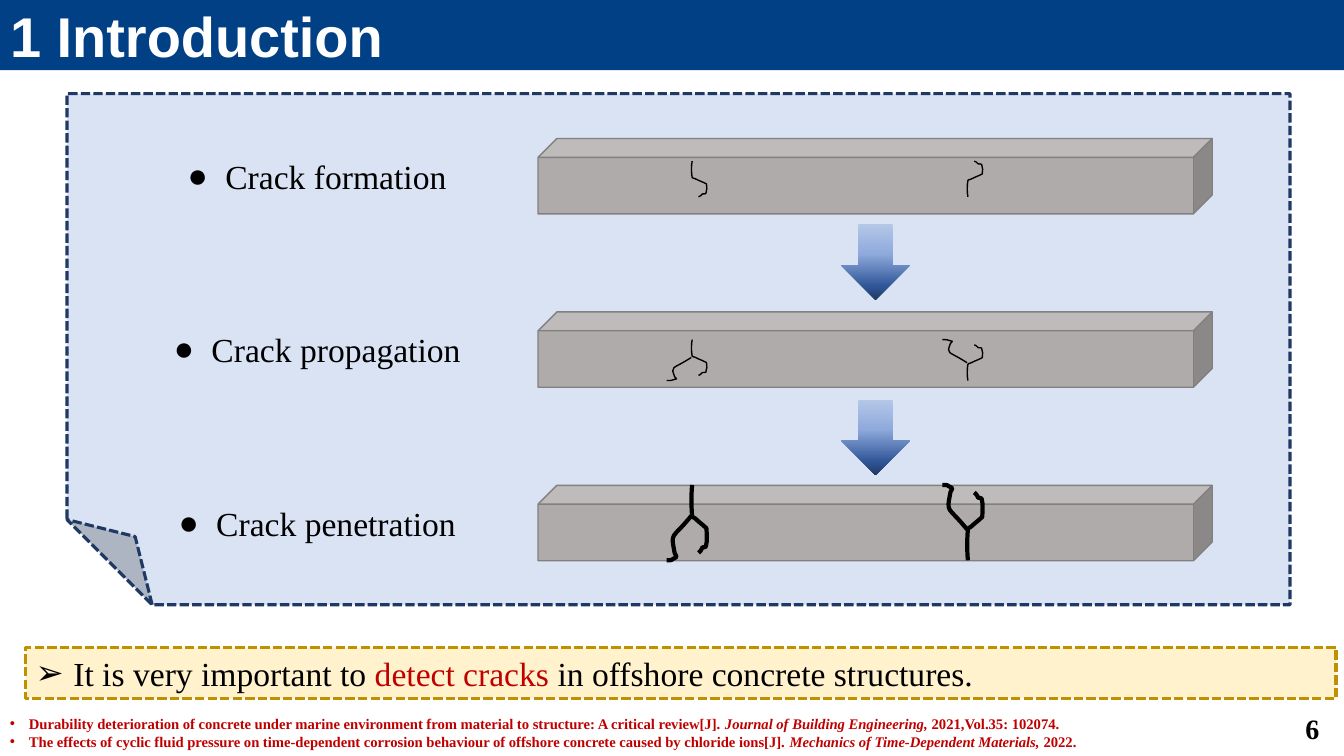
"""Build the introduction slide showing three stages of concrete cracking."""
from lxml.etree import SubElement
from pptx import Presentation
from pptx.dml.color import RGBColor
from pptx.enum.dml import MSO_LINE
from pptx.enum.shapes import MSO_SHAPE
from pptx.enum.text import MSO_ANCHOR, MSO_AUTO_SIZE, PP_ALIGN
from pptx.oxml.ns import qn
from pptx.util import Cm, Pt

WHITE = RGBColor(0xFF, 0xFF, 0xFF)
BLACK = RGBColor(0, 0, 0)
RED = RGBColor(0xC0, 0, 0)
TITLE_BLUE = RGBColor(0x01, 0x40, 0x85)
PANEL_BLUE = RGBColor(0xDA, 0xE3, 0xF3)
NAVY = RGBColor(0x20, 0x38, 0x64)
CREAM = RGBColor(0xFF, 0xF2, 0xCC)
GOLD = RGBColor(0xBF, 0x90, 0)
CONCRETE = RGBColor(0xAF, 0xAB, 0xAB)
GREY = RGBColor(0x80, 0x80, 0x80)
ARROW_STOPS = [(0, RGBColor(0xB4, 0xC7, 0xE7)), (39, RGBColor(0x8F, 0xAA, 0xDC)),
               (83, RGBColor(0x2F, 0x55, 0x97)), (100, NAVY)]
SERIF = "Times New Roman"

TITLE = "1 Introduction"
PAGE_NUMBER = "6"
MESSAGE = [("It is very important to ", BLACK), ("detect cracks ", RED),
           ("in offshore concrete structures.", BLACK)]
REFERENCES = [
    ("Durability deterioration of concrete under marine environment from material "
     "to structure: A critical review[J]. ",
     "Journal of Building Engineering, ", "2021,Vol.35: 102074."),
    ("The effects of cyclic fluid pressure on time-dependent corrosion behaviour of "
     "offshore concrete caused by chloride ions[J]. ",
     "Mechanics of Time-Dependent Materials, ", "2022."),
]

# label, label left, label width, crack top, crack height, hook height, branch height, weight
STAGES = [
    ("Crack formation", 4.48, 7.09, 4.06, 0.9, 0.9, 0, 1),
    ("Crack propagation", 4.13, 7.8, 8.56, 1.03, 0.9, 0.58, 1),
    ("Crack penetration", 4.25, 7.57, 12.22, 1.9, 1.71, 1.12, 3),
]
HOOK = [(0.06, 0), (0, 0.12), (0, 0.33), (0.06, 0.46),
        (0.06, 0.48), (0.18, 0.48), (0.22, 0.49),
        (0.8, 0.61), (0, 0.45), (0.76, 0.6),
        (0.76, 0.6), (0.94, 0.64), (0.94, 0.64),
        (0.95, 0.73), (1, 0.82), (0.9, 0.91),
        (0.87, 0.93), (0.75, 0.91), (0.69, 0.92),
        (0.64, 0.94), (0.63, 0.96), (0.58, 0.97),
        (0.55, 0.98), (0.45, 1), (0.45, 1)]
BRANCH = [(1, 0), (0.2, 0.55), (0.16, 0.34), (0.33, 0.84),
          (0.36, 0.87), (0.4, 0.91), (0.4, 0.93),
          (0.12, 1), (0.28, 1), (0, 1)]
HOOK_LEFT, HOOK_WIDTH = 17.42, 0.41
BRANCH_LEFT, BRANCH_WIDTH = 16.8, 0.62
RIGHT_CRACK_SHIFT = 6.95
BEAM_TOP, STAGE_STEP = 3.49, 4.37
ARROW_TOP, ARROW_STEP = 5.65, 4.42


def add_box(slide, kind, box, fill, line, weight, dashed=False):
    """Add a filled and outlined preset shape."""
    shape = slide.shapes.add_shape(kind, *map(Cm, box))
    shape.shadow.inherit = False
    shape.fill.solid()
    shape.fill.fore_color.rgb = fill
    shape.line.color.rgb = line
    shape.line.width = Pt(weight)
    if dashed:
        shape.line.dash_style = MSO_LINE.SQUARE_DOT
    return shape


def add_text(slide, box, wrap=True):
    """Add a text box and return its text frame."""
    frame = slide.shapes.add_textbox(*map(Cm, box)).text_frame
    frame.word_wrap = wrap
    return frame


def add_bullet(paragraph, symbol, indent):
    """Give a paragraph a bullet with a hanging indent."""
    properties = paragraph._p.get_or_add_pPr()
    properties.set("marL", str(Cm(indent)))
    properties.set("indent", str(-Cm(indent)))
    SubElement(properties, qn("a:buFont"), typeface="Arial")
    SubElement(properties, qn("a:buChar"), char=symbol)


def format_run(run, size, color=BLACK, bold=False, italic=False, font=SERIF):
    """Set the character format of a run."""
    run.font.name, run.font.size = font, Pt(size)
    run.font.bold, run.font.italic = bold, italic
    run.font.color.rgb = color


def add_run(paragraph, text, *style):
    """Append a formatted run to a paragraph."""
    run = paragraph.add_run()
    run.text = text
    format_run(run, *style)


def add_crack_line(slide, controls, weight):
    """Draw one open chain of cubic curves through control points in centimetres."""
    controls = [(Cm(x), Cm(y)) for x, y in controls]
    builder = slide.shapes.build_freeform(*controls[0])
    builder.add_line_segments(controls[1:], close=False)
    shape = builder.convert_to_shape()
    segments = list(shape._element.spPr.iter(qn("a:lnTo")))
    outline = segments[0].getparent()
    for start in range(0, len(segments), 3):
        curve = SubElement(outline, qn("a:cubicBezTo"))
        for segment in segments[start:start + 3]:
            curve.append(segment[0])
            outline.remove(segment)
    shape.shadow.inherit = False
    shape.fill.background()
    shape.line.color.rgb = BLACK
    shape.line.width = Pt(weight)


def add_cracks(slide, top, height, hook_height, branch_height, weight):
    """Draw the left crack and its upside-down twin on the right."""
    parts = [(HOOK, HOOK_LEFT, HOOK_WIDTH, top, hook_height)]
    if branch_height:
        parts.append((BRANCH, BRANCH_LEFT, BRANCH_WIDTH,
                      top + height - branch_height, branch_height))
    for outline, left, width, part_top, part_height in parts:
        controls = [(left + x * width, part_top + y * part_height) for x, y in outline]
        add_crack_line(slide, controls, weight)
        add_crack_line(slide, [(x + RIGHT_CRACK_SHIFT, 2 * top + height - y)
                               for x, y in controls], weight)


def add_arrow(slide, top):
    """Add a downward arrow with a vertical gradient."""
    arrow = slide.shapes.add_shape(MSO_SHAPE.DOWN_ARROW, *map(Cm, (21.2, top, 1.73, 1.9)))
    arrow.shadow.inherit = False
    arrow.line.fill.background()
    arrow.fill.gradient()
    gradient = arrow._element.spPr.find(qn("a:gradFill"))
    stops = gradient.find(qn("a:gsLst"))
    stops.clear()
    for position, color in ARROW_STOPS:
        stop = SubElement(stops, qn("a:gs"), pos=str(position * 1000))
        SubElement(stop, qn("a:srgbClr"), val=str(color))
    gradient.find(qn("a:lin")).set("ang", "5400000")


def main():
    """Compose and save the slide."""
    presentation = Presentation()
    presentation.slide_width, presentation.slide_height = Cm(33.87), Cm(19.05)
    slide = presentation.slides.add_slide(presentation.slide_layouts[5])

    title = slide.shapes.title
    title.left, title.top, title.width, title.height = map(Cm, (0, 0, 33.87, 1.77))
    title.fill.solid()
    title.fill.fore_color.rgb = TITLE_BLUE
    frame = title.text_frame
    frame.text = TITLE
    frame.auto_size = MSO_AUTO_SIZE.NONE
    frame.vertical_anchor = MSO_ANCHOR.MIDDLE
    frame.paragraphs[0].alignment = PP_ALIGN.LEFT
    format_run(frame.paragraphs[0].runs[0], 40, WHITE, True, font="Arial")

    panel = add_box(slide, MSO_SHAPE.FOLDED_CORNER, (1.69, 2.36, 30.82, 12.88),
                    PANEL_BLUE, NAVY, 2.25, dashed=True)
    panel._element.spPr.find(qn("a:xfrm")).set("flipH", "1")

    for index, (label, left, width, *crack) in enumerate(STAGES):
        top = BEAM_TOP + index * STAGE_STEP
        add_box(slide, MSO_SHAPE.CUBE, (13.56, top, 16.99, 1.9), CONCRETE, GREY, 1)
        add_cracks(slide, *crack)
        paragraph = add_text(slide, (left, top + 0.31, width, 1.27), wrap=False).paragraphs[0]
        add_bullet(paragraph, "●", 0.95)
        add_run(paragraph, label, 24)
    for index in range(len(STAGES) - 1):
        add_arrow(slide, ARROW_TOP + index * ARROW_STEP)

    banner = add_box(slide, MSO_SHAPE.RECTANGLE, (0.65, 16.32, 33.02, 1.28),
                     CREAM, GOLD, 2.25, dashed=True)
    banner.text_frame.vertical_anchor = MSO_ANCHOR.TOP
    paragraph = banner.text_frame.paragraphs[0]
    paragraph.alignment = PP_ALIGN.LEFT
    add_bullet(paragraph, "➢", 0.95)
    for text, color in MESSAGE:
        add_run(paragraph, text, 24, color)

    frame = add_text(slide, (0, 17.89, 33.2, 1.14))
    for index, reference in enumerate(REFERENCES):
        paragraph = frame.add_paragraph() if index else frame.paragraphs[0]
        add_bullet(paragraph, "•", 0.48)
        for text, italic in zip(reference, (False, True, False)):
            add_run(paragraph, text, 10.5, RED, True, italic)

    frame = add_text(slide, (25.88, 17.85, 7.62, 1.02))
    frame.vertical_anchor = MSO_ANCHOR.MIDDLE
    frame.paragraphs[0].alignment = PP_ALIGN.RIGHT
    add_run(frame.paragraphs[0], PAGE_NUMBER, 20, BLACK, True)

    presentation.save("out.pptx")


if __name__ == "__main__":
    main()
